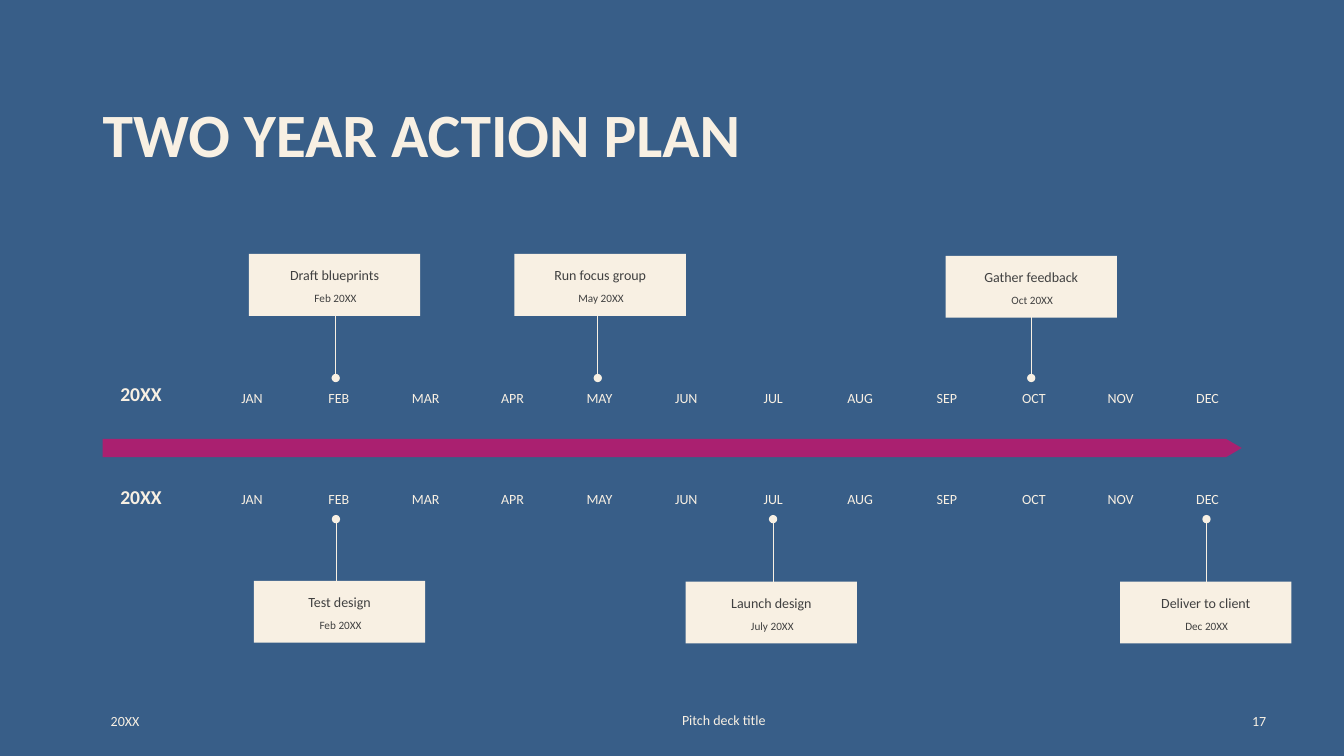
from lxml import etree
from pptx import Presentation
from pptx.dml.color import RGBColor
from pptx.enum import shapes, text
from pptx.oxml import ns
from pptx.util import Pt

BLUE = RGBColor(0x38, 0x5E, 0x88)
CREAM = RGBColor(0xF8, 0xF0, 0xE3)
MAGENTA = RGBColor(0xAA, 0x20, 0x70)
GREY = RGBColor(0x40, 0x40, 0x40)
FONT = "Calibri"
LEFT, CENTER, RIGHT = text.PP_ALIGN.LEFT, text.PP_ALIGN.CENTER, text.PP_ALIGN.RIGHT
TOP, MIDDLE = text.MSO_ANCHOR.TOP, text.MSO_ANCHOR.MIDDLE

MONTHS = "JAN FEB MAR APR MAY JUN JUL AUG SEP OCT NOV DEC".split()
MONTH_LEFT, MONTH_STEP = 154.8, 62.05
CARD_WIDTH, CARD_HEIGHT = 122.4, 44.2

# Year label top, month label top
YEAR_ROWS = [(264.2, 275.8), (337.7, 348.5)]
# Stem start and end, then per milestone: stem x, card left, card top, task, date
MILESTONES = [
    (212.4, 270, [
        (239.8, 177.8, 181.4, "Draft blueprints", "Feb 20XX"),
        (427, 367.5, 181.4, "Run focus group", "May 20XX"),
        (736.6, 675.4, 182.7, "Gather feedback", "Oct 20XX"),
    ]),
    (428.4, 370.8, [
        (240, 181.4, 414.9, "Test design", "Feb 20XX"),
        (552.2, 489.8, 415.4, "Launch design", "July 20XX"),
        (861.8, 800.1, 415.4, "Deliver to client", "Dec 20XX"),
    ]),
]


def write(shape, words, size, color, align=CENTER, anchor=TOP, spacing=1.0, bold=False):
    frame = shape.text_frame
    frame.word_wrap = True
    frame.vertical_anchor = anchor
    para = frame.paragraphs[0]
    para.text = words
    para.alignment = align
    para.line_spacing = spacing
    para.font.name = FONT
    para.font.size = Pt(size)
    para.font.bold = bold
    para.font.color.rgb = color


def add_label(page, left, top, width, height, words, size=10, color=CREAM, **style):
    box = page.shapes.add_textbox(Pt(left), Pt(top), Pt(width), Pt(height))
    write(box, words, size, color, **style)


def add_block(page, kind, left, top, width, height, color):
    block = page.shapes.add_shape(kind, Pt(left), Pt(top), Pt(width), Pt(height))
    block.shadow.inherit = False
    block.fill.solid()
    block.fill.fore_color.rgb = color
    block.line.fill.background()
    return block


def add_title(page, words):
    title = page.shapes.title
    title.left, title.top, title.width, title.height = Pt(66.2), Pt(70.6), Pt(828), Pt(104.4)
    write(title, words, 44, CREAM, align=LEFT, spacing=0.9, bold=True)


def add_stem(page, x, start, end):
    """Thin vertical line that ends in a dot."""
    stem = page.shapes.add_connector(
        shapes.MSO_CONNECTOR.STRAIGHT, Pt(x), Pt(start), Pt(x), Pt(end))
    stem.line.color.rgb = CREAM
    stem.line.width = Pt(0.5)
    etree.SubElement(stem.line._get_or_add_ln(), ns.qn("a:tailEnd"), type="oval")
    etree.SubElement(stem._element.spPr, ns.qn("a:effectLst"))


def add_card(page, left, top, task, date):
    card = add_block(page, shapes.MSO_SHAPE.RECTANGLE, left, top,
                     CARD_WIDTH, CARD_HEIGHT, CREAM)
    card.text_frame.margin_top = Pt(2.9)
    write(card, task, 10, GREY, spacing=1.5)
    add_label(page, left + 4.3, top + 24.5, 115.2, 18, date, 8, GREY, spacing=0.9)


def add_year(page, year_top, month_top):
    add_label(page, 72, year_top, 57.6, 36, "20XX", 14,
              anchor=MIDDLE, spacing=0.9, bold=True)
    for index, month in enumerate(MONTHS):
        add_label(page, MONTH_LEFT + index * MONTH_STEP, month_top, 50.4, 15.8,
                  month, spacing=0.9)


def add_footer(page):
    add_label(page, 72, 500.4, 86.4, 28.8, "20XX", align=LEFT, anchor=MIDDLE)
    add_label(page, 427, 499.7, 180, 28.8, "Pitch deck title", anchor=MIDDLE)
    add_label(page, 875.5, 500.4, 36, 28.8, "17", align=RIGHT, anchor=MIDDLE)


def main():
    deck = Presentation()
    deck.slide_width, deck.slide_height = Pt(960), Pt(540)
    page = deck.slides.add_slide(deck.slide_layouts[5])
    page.background.fill.solid()
    page.background.fill.fore_color.rgb = BLUE

    add_title(page, "TWO YEAR ACTION PLAN")
    arrow = add_block(page, shapes.MSO_SHAPE.RIGHT_ARROW, 73.4, 313.5, 813.6, 13, MAGENTA)
    arrow.adjustments[0], arrow.adjustments[1] = 1, 0.86
    for year_top, month_top in YEAR_ROWS:
        add_year(page, year_top, month_top)
    for start, end, milestones in MILESTONES:
        for x, left, top, task, date in milestones:
            add_stem(page, x, start, end)
            add_card(page, left, top, task, date)
    add_footer(page)
    deck.save("out.pptx")


if __name__ == "__main__":
    main()
